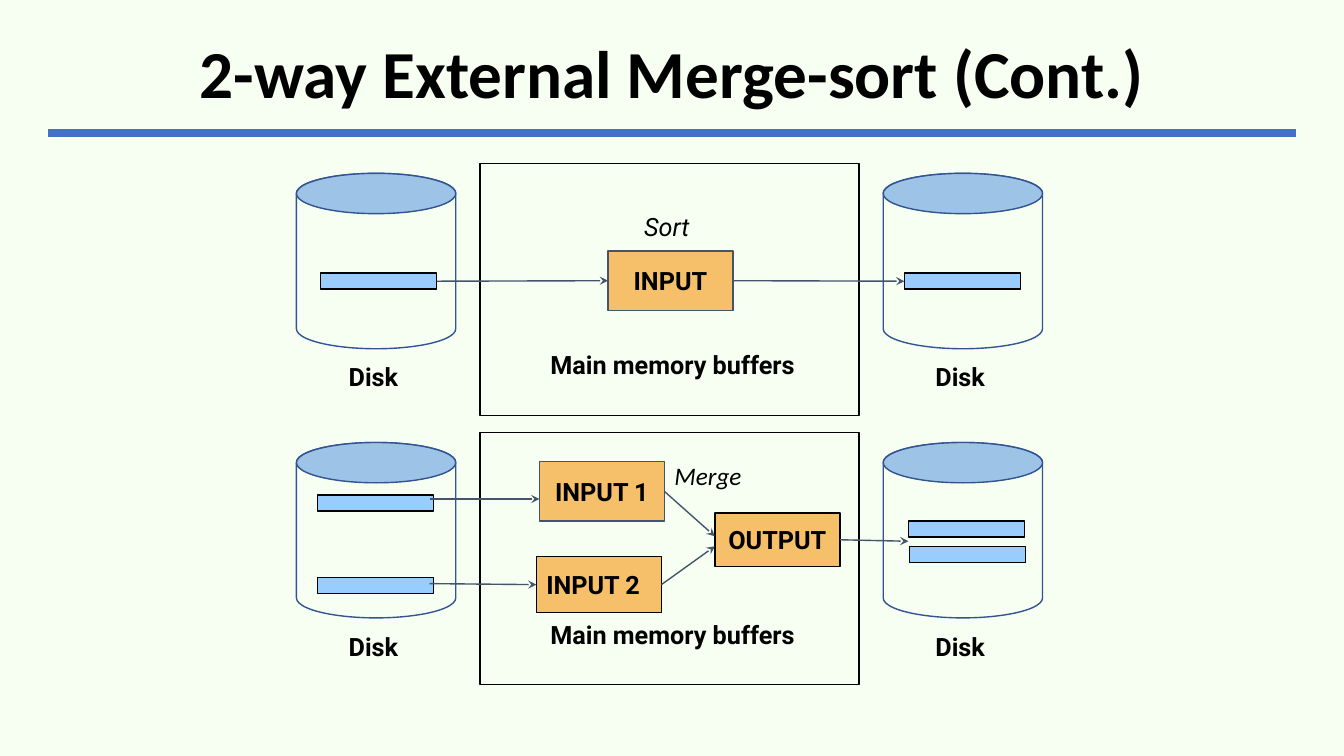
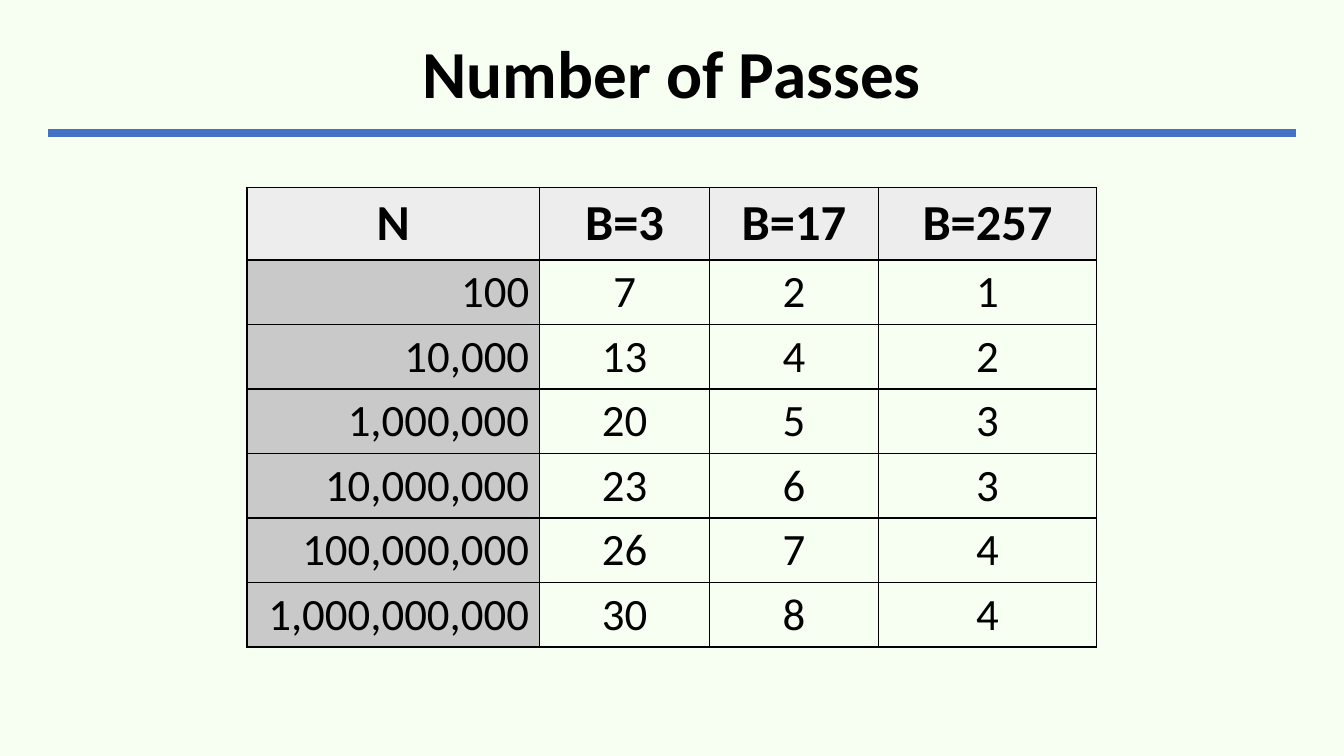
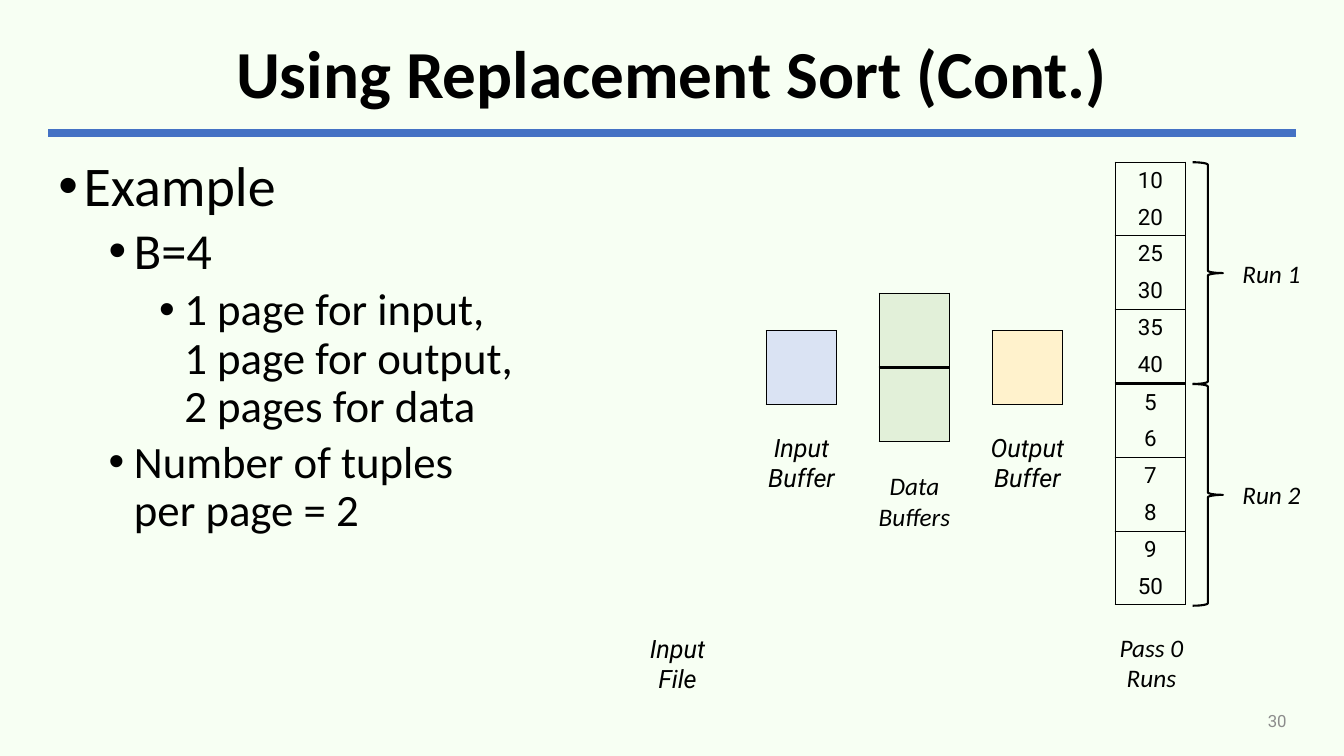
from pptx import Presentation
from pptx.dml.color import RGBColor
from pptx.enum.shapes import MSO_CONNECTOR, MSO_SHAPE
from pptx.enum.text import MSO_ANCHOR, PP_ALIGN
from pptx.oxml.ns import qn
from pptx.util import Inches, Pt
from lxml.etree import SubElement

PAGE = RGBColor(0xF7, 0xFF, 0xF3)
BLACK = RGBColor(0x00, 0x00, 0x00)
RULE = RGBColor(0x44, 0x72, 0xC4)
SLATE = RGBColor(0x44, 0x54, 0x6A)
GREY = RGBColor(0x8C, 0x8C, 0x8C)
DISK_LINE = RGBColor(0x32, 0x54, 0x91)
DISK_TOP = RGBColor(0x9D, 0xC3, 0xE6)
RECORD = RGBColor(0x99, 0xCC, 0xFF)
BUFFER = RGBColor(0xF6, 0xBF, 0x69)
HEADER = RGBColor(0xED, 0xED, 0xED)
FIRST_COLUMN = RGBColor(0xC9, 0xC9, 0xC9)
INPUT_PAGE = RGBColor(0xDA, 0xE3, 0xF3)
DATA_PAGE = RGBColor(0xE2, 0xF0, 0xD9)
OUTPUT_PAGE = RGBColor(0xFF, 0xF2, 0xCC)
CALIBRI, ROBOTO = "Calibri", "Roboto"
LEFT, CENTER, RIGHT = PP_ALIGN.LEFT, PP_ALIGN.CENTER, PP_ALIGN.RIGHT
RECORD_H = 0.16
PAGE_W, PAGE_H = 0.7, 0.73


def write(tf, text, size=18, font=ROBOTO, color=BLACK, bold=False, italic=False, align=LEFT):
    tf.text = text
    p = tf.paragraphs[0]
    p.alignment = align
    for r in p.runs:
        r.font.size = Pt(size)
        r.font.name = font
        r.font.color.rgb = color
        r.font.bold = bold
        r.font.italic = italic
    return p


def label(s, x, y, w, h, text, wrap=True, anchor=MSO_ANCHOR.TOP, **style):
    tf = s.shapes.add_textbox(Inches(x), Inches(y), Inches(w), Inches(h)).text_frame
    tf.word_wrap = wrap
    tf.vertical_anchor = anchor
    return write(tf, text, **style)


def shape(s, kind, x, y, w, h, fill=None, line=BLACK, weight=1):
    sp = s.shapes.add_shape(kind, Inches(x), Inches(y), Inches(w), Inches(h))
    sp.shadow.inherit = False
    if fill is None:
        sp.fill.background()
    else:
        sp.fill.solid()
        sp.fill.fore_color.rgb = fill
    sp.line.color.rgb = line
    sp.line.width = Pt(weight)
    return sp


def connector(s, start, end, color, weight):
    points = [Inches(v) for v in (*start, *end)]
    line = s.shapes.add_connector(MSO_CONNECTOR.STRAIGHT, *points)
    line.line.color.rgb = color
    line.line.width = Pt(weight)
    SubElement(line._element.spPr, qn("a:effectLst"))
    return line


def arrow(s, start, end):
    ends = [e if isinstance(e, tuple) else (0, 0) for e in (start, end)]
    line = connector(s, *ends, SLATE, 1)
    if not isinstance(start, tuple):
        line.begin_connect(start, 3)
    if not isinstance(end, tuple):
        line.end_connect(end, 1)
    SubElement(line.line._get_or_add_ln(), qn("a:tailEnd"), type="stealth")


def titled_slide(prs, title):
    s = prs.slides.add_slide(prs.slide_layouts[6])
    connector(s, (0.48, 1.32), (12.85, 1.32), RULE, 6)
    p = label(s, 0.48, 0.24, 12.37, 1.04, title, anchor=MSO_ANCHOR.MIDDLE,
              size=48, font=CALIBRI, bold=True, align=CENTER)
    p.line_spacing = 0.9
    return s


def disk(s, x, y):
    shape(s, MSO_SHAPE.CAN, x, y, 1.58, 1.74, line=DISK_LINE)
    shape(s, MSO_SHAPE.OVAL, x, y, 1.58, 0.4, DISK_TOP, DISK_LINE)
    label(s, x + 0.42, y + 1.82, 0.73, 0.4, "Disk", wrap=False, bold=True)


def record(s, x, y, w=1.15):
    return shape(s, MSO_SHAPE.RECTANGLE, x, y, w, RECORD_H, RECORD)


def buffer(s, x, y, h, text, line=BLACK, align=CENTER):
    sp = shape(s, MSO_SHAPE.RECTANGLE, x, y, 1.24, h, BUFFER, line)
    sp.text_frame.vertical_anchor = MSO_ANCHOR.MIDDLE
    write(sp.text_frame, text, bold=True, align=align)
    return sp


def memory_frame(s, x, y):
    disk(s, x, y + 0.1)
    shape(s, MSO_SHAPE.RECTANGLE, x + 1.82, y, 3.76, 2.5)
    label(s, x + 2.42, y + 1.8, 2.98, 0.4, "Main memory buffers", bold=True)
    disk(s, x + 5.82, y + 0.1)


def sort_stage(s, x, y):
    memory_frame(s, x, y)
    source = record(s, x + 0.24, y + 1.09)
    target = record(s, x + 6.03, y + 1.09)
    sorter = buffer(s, x + 3.09, y + 0.87, 0.59, "INPUT", SLATE)
    label(s, x + 3.35, y + 0.43, 0.7, 0.4, "Sort", italic=True)
    arrow(s, source, sorter)
    arrow(s, sorter, target)


def merge_stage(s, x, y):
    memory_frame(s, x, y)
    for dx, dy in ((0.21, 0.62), (0.21, 1.44), (6.07, 0.88), (6.08, 1.13)):
        record(s, x + dx, y + dy)
    first = buffer(s, x + 2.41, y + 0.29, 0.59, "INPUT 1", SLATE)
    second = buffer(s, x + 2.38, y + 1.23, 0.56, "INPUT 2", align=LEFT)
    output = buffer(s, x + 4.15, y + 0.8, 0.53, "OUTPUT")
    label(s, x + 3.65, y + 0.23, 0.94, 0.4, "Merge", font=CALIBRI, italic=True)
    arrow(s, (x + 1.32, y + 0.66), (x + 2.41, y + 0.66))
    arrow(s, (x + 1.32, y + 1.5), second)
    arrow(s, first, (x + 4.15, y + 1.03))
    arrow(s, second, (x + 4.15, y + 1.13))
    arrow(s, output, (x + 6.07, y + 1.08))


def style_cell(cell, fill, sides):
    tcPr = cell._tc.get_or_add_tcPr()
    for side in "LRTB":
        ln = SubElement(tcPr, qn(f"a:ln{side}"), w=str(Pt(1)))
        if side in sides:
            paint = SubElement(ln, qn("a:solidFill"))
            SubElement(paint, qn("a:srgbClr"), val=str(BLACK))
        else:
            SubElement(ln, qn("a:noFill"))
    if fill is None:
        cell.fill.background()
    else:
        cell.fill.solid()
        cell.fill.fore_color.rgb = fill


def plain_table(s, x, y, widths, heights):
    frame = s.shapes.add_table(len(heights), len(widths), Inches(x), Inches(y),
                               Inches(sum(widths)), Inches(sum(heights)))
    table = frame.table
    table.first_row = table.horz_banding = False
    for column, w in zip(table.columns, widths):
        column.width = Inches(w)
    for row, h in zip(table.rows, heights):
        row.height = Inches(h)
    return table


def passes_table(s, x, y):
    rows = [
        ("N", "B=3", "B=17", "B=257"),
        ("100", "7", "2", "1"),
        ("10,000", "13", "4", "2"),
        ("1,000,000", "20", "5", "3"),
        ("10,000,000", "23", "6", "3"),
        ("100,000,000", "26", "7", "4"),
        ("1,000,000,000", "30", "8", "4"),
    ]
    heights = [0.72] + [0.64] * (len(rows) - 1)
    table = plain_table(s, x, y, (2.9, 1.69, 1.67, 2.17), heights)
    for i, row in enumerate(rows):
        for j, text in enumerate(row):
            head, first = i == 0, j == 0
            cell = table.cell(i, j)
            style_cell(cell, HEADER if head else FIRST_COLUMN if first else None, "LRTB")
            write(cell.text_frame, text, size=36 if head else 32, font=CALIBRI, bold=head,
                  align=RIGHT if first and not head else CENTER)


def tuple_page(s, x, y, fill=None, values=("", "")):
    table = plain_table(s, x, y, [PAGE_W], [PAGE_H / 2] * 2)
    for i, (value, sides) in enumerate(zip(values, ("LRT", "LRB"))):
        cell = table.cell(i, 0)
        style_cell(cell, fill, sides)
        cell.margin_top = cell.margin_bottom = 0
        cell.vertical_anchor = MSO_ANCHOR.MIDDLE
        write(cell.text_frame, value, size=16, align=CENTER)


def caption(s, x, y, text, font=ROBOTO, h=0.71):
    label(s, x, y, 0.96, h, text, font=font, italic=True, align=CENTER)


def example_bullets(s, x, y):
    items = [
        (0, 40, "Example"),
        (1, 36, "B=4"),
        (2, 32, "1 page for input, 1 page for output, 2 pages for data"),
        (1, 32, "Number of tuples per page = 2"),
    ]
    tf = s.shapes.add_textbox(Inches(x), Inches(y), Inches(4.71), Inches(5.43)).text_frame
    tf.word_wrap = True
    for i, (level, size, text) in enumerate(items):
        p = tf.add_paragraph() if i else tf.paragraphs[0]
        p.text = text
        p.level = level
        p.line_spacing = 0.9
        if i:
            p.space_before = Pt(5)
        pPr = p._p.get_or_add_pPr()
        pPr.set("marL", str(Inches(0.25 + 0.5 * level)))
        pPr.set("indent", str(Inches(-0.25)))
        SubElement(pPr, qn("a:buFont"), typeface="Arial")
        SubElement(pPr, qn("a:buChar"), char="•")
        font = p.runs[0].font
        font.size, font.name = Pt(size), CALIBRI
        font.color.rgb = BLACK


def buffer_pages(s, x, y):
    step = 1.12
    groups = [
        ("Input Buffer", ROBOTO, INPUT_PAGE, [0.37], 1.33),
        ("Data Buffers", CALIBRI, DATA_PAGE, [0, 0.74], 1.71),
        ("Output Buffer", ROBOTO, OUTPUT_PAGE, [0.37], 1.33),
    ]
    for i, (text, font, fill, tops, caption_top) in enumerate(groups):
        left = x + i * step
        for top in tops:
            tuple_page(s, left, y + top, fill)
        caption(s, left - 0.13, y + caption_top, text, font)


def sorted_runs(s, x, y):
    run_h = 2.2
    runs = [
        [("10", "20"), ("25", "30"), ("35", "40")],
        [("5", "6"), ("7", "8"), ("9", "50")],
    ]
    for i, pages in enumerate(runs):
        top = y + i * run_h
        for j, values in enumerate(pages):
            tuple_page(s, x, top + j * PAGE_H, values=values)
        shape(s, MSO_SHAPE.RIGHT_BRACE, x + 0.77, top, 0.3, run_h, weight=1.5)
        caption(s, x + 1.07, top + 0.9, f"Run {i + 1}", CALIBRI, h=0.4)
    caption(s, x - 0.12, y + 4.61, "Pass 0 Runs", CALIBRI)


def main():
    prs = Presentation()
    prs.slide_width, prs.slide_height = Inches(13.33), Inches(7.5)
    background = prs.slide_master.background.fill
    background.solid()
    background.fore_color.rgb = PAGE

    s = titled_slide(prs, "2-way External Merge-sort (Cont.)")
    sort_stage(s, 2.94, 1.62)
    merge_stage(s, 2.94, 4.29)

    s = titled_slide(prs, "Number of Passes")
    passes_table(s, 2.45, 1.86)

    s = titled_slide(prs, "Using Replacement Sort (Cont.)")
    example_bullets(s, 0.48, 1.52)
    buffer_pages(s, 7.6, 2.91)
    sorted_runs(s, 11.06, 1.61)
    caption(s, 6.24, 6.23, "Input File")
    label(s, 9.42, 6.95, 3.44, 0.4, "30", anchor=MSO_ANCHOR.MIDDLE,
          size=12, color=GREY, align=RIGHT)

    prs.save("out.pptx")


if __name__ == "__main__":
    main()
